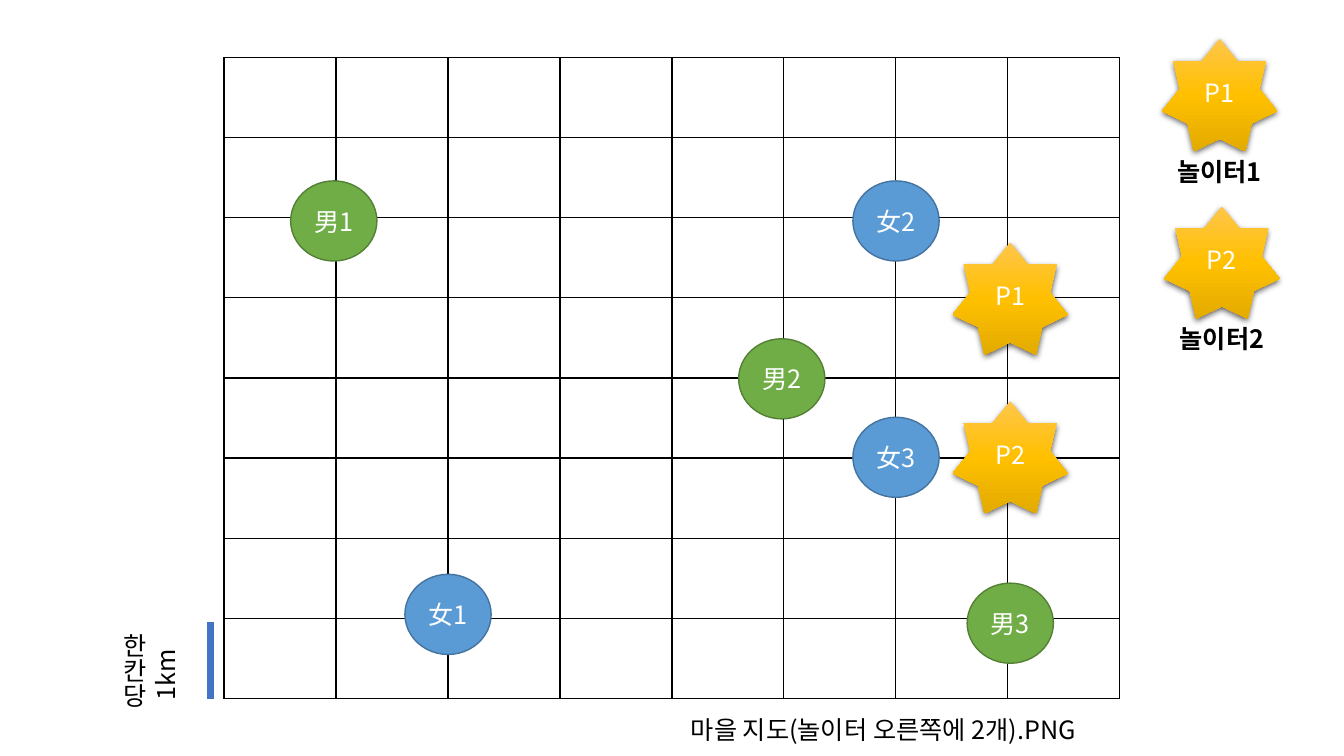
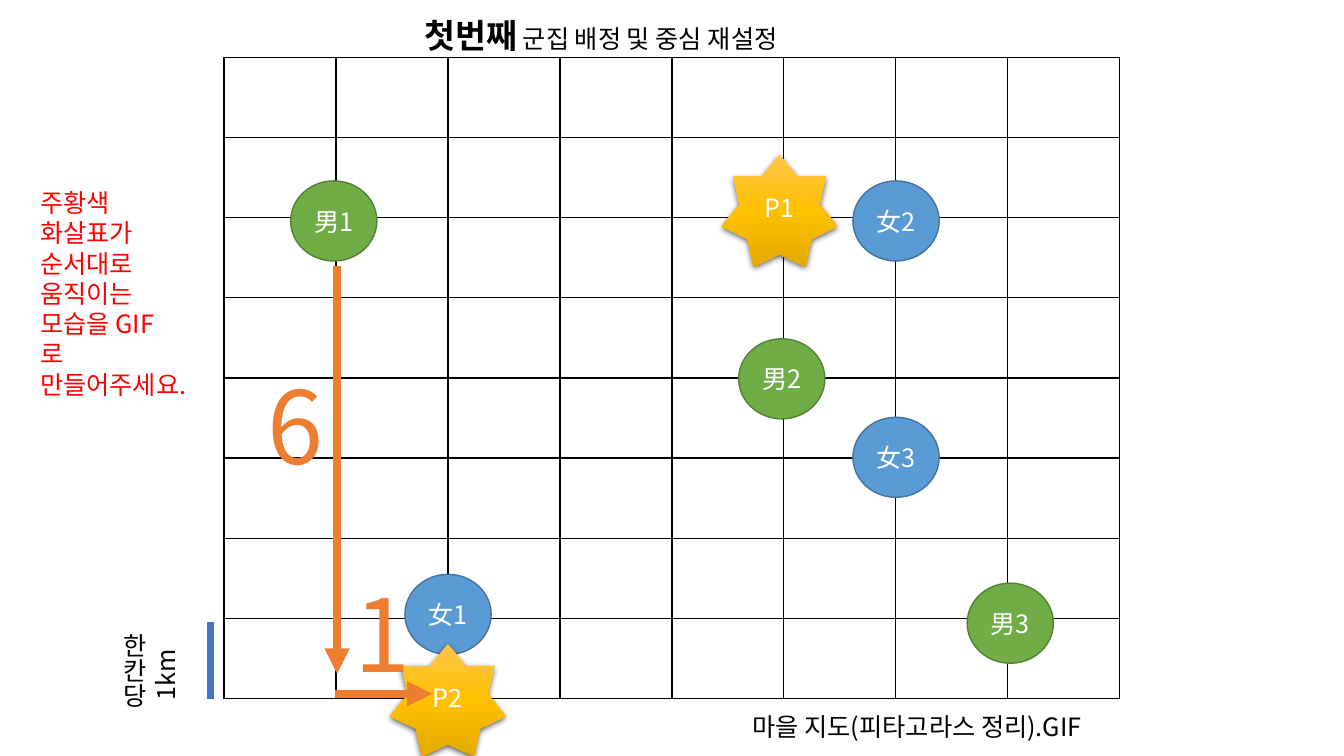
from dataclasses import dataclass
from pptx import Presentation
from pptx.dml.color import RGBColor
from pptx.enum.shapes import MSO_CONNECTOR, MSO_SHAPE
from pptx.enum.text import MSO_ANCHOR, MSO_AUTO_SIZE, PP_ALIGN
from pptx.oxml import parse_xml
from pptx.oxml.ns import nsdecls
from pptx.util import Inches, Pt


@dataclass(frozen=True)
class Theme:
    font: str = "Noto Sans CJK KR"
    body: int = 18
    heading: int = 24
    distance: int = 72
    black: str = "000000"
    white: str = "FFFFFF"
    request: str = "FF0000"
    arrow: str = "ED7D31"
    scale: str = "4472C4"
    man: tuple = ("70AD47", "538035")
    woman: tuple = ("5B9BD5", "43739E")
    star: tuple = ("FFC64B", "FFC000", "E3AB00")


theme = Theme()
A = nsdecls("a")
deck = Presentation()
deck.slide_width, deck.slide_height = Inches(13.33), Inches(7.5)

# The village map: 8 x 8 squares, all places are in columns and rows of it
SQUARES = 8
COL = deck.slide_width / 12
ROW = deck.slide_height * 0.106
MAP_LEFT, MAP_TOP = 2 * COL, deck.slide_height * 0.076


def place(col, row, width=0, height=0):
    return [round(v) for v in (MAP_LEFT + col * COL, MAP_TOP + row * ROW,
                               width * COL, height * ROW)]


def style(run, size, color, bold=False):
    run.font.size, run.font.bold = Pt(size), bold
    run.font.color.rgb = RGBColor.from_string(color)
    run.font.name = theme.font
    run.font._element.append(parse_xml(f'<a:ea {A} typeface="{theme.font}"/>'))


# Shared by both slides: homes, scale bar and its label
WOMAN = "\uf981"
homes = [("男2", theme.man, 4.98, 4.01), (WOMAN + "1", theme.woman, 2, 6.95),
         ("男3", theme.man, 7.02, 7.06), (WOMAN + "3", theme.woman, 6, 4.99),
         ("男1", theme.man, 0.98, 2.04), (WOMAN + "2", theme.woman, 6, 2.04)]
HOME, STAR = (0.77, 1), (1.03, 1.4)
scale_bar = ((-0.12, 8), (-0.12, 7.04), theme.scale, 4.5, False)

# Labels: text, box, size, colour, kind
scale_labels = [("1km", (-0.7, 6.73, 0.45, 1.42), theme.body, theme.black, "upward"),
                ("한칸당", (-1.07, 7.06, 0.45, 1.42), theme.body, theme.black, "vertical")]

maps = [
    dict(title=None,
         playgrounds=[("P1", 7.02, 3.01), ("P1", 8.89, 0.47),
                      ("P2", 8.91, 2.56), ("P2", 7.02, 4.99)],
         arrows=[],
         labels=[("놀이터1", (8.1, 1.17, 1.58, 0.5), theme.body, theme.black, "legend"),
                 ("놀이터2", (8.12, 3.26, 1.58, 0.5), theme.body, theme.black, "legend"),
                 ("마을 지도(놀이터 오른쪽에 2개).PNG", (4.08, 8.13, 3.92, 0.5),
                  theme.body, theme.black, "caption")]),
    dict(title=("첫번째", " 군집 배정 및 중심 재설정 "),
         playgrounds=[("P1", 4.96, 1.91), ("P2", 2, 8.02)],
         arrows=[((1.01, 2.6), (1.01, 7.69), theme.arrow, 6, True),
                 ((0.99, 7.94), (1.86, 7.94), theme.arrow, 6, True)],
         labels=[("주황색 화살표가 순서대로 움직이는 모습을 GIF 로 만들어주세요.",
                  (-1.73, 1.56, 1.42, 2.42), theme.body, theme.request, "note"),
                 ("1", (1.08, 6.36, 0.71, 1.65), theme.distance, theme.arrow, "note"),
                 ("6", (0.3, 3.76, 0.71, 1.65), theme.distance, theme.arrow, "note"),
                 ("마을 지도(피타고라스 정리).GIF", (4.63, 8.1, 3.37, 0.5),
                  theme.body, theme.black, "caption")]),
]

for village in maps:
    slide = deck.slides.add_slide(deck.slide_layouts[5 if village["title"] else 6])

    # Title
    if village["title"]:
        title = slide.shapes.title
        title.left, title.top, title.width, title.height = place(1.7, -0.59, 4.6, 0.63)
        heading = title.text_frame
        heading.text, topic = village["title"]
        heading.word_wrap, heading.auto_size = True, MSO_AUTO_SIZE.SHAPE_TO_FIT_TEXT
        heading.vertical_anchor = MSO_ANCHOR.TOP
        line = heading.paragraphs[0]
        line.alignment = PP_ALIGN.LEFT
        line.add_run().text = topic
        style(line.runs[0], theme.heading, theme.black, True)
        style(line.runs[1], theme.body, theme.black)

    # Map squares
    grid = slide.shapes.add_table(SQUARES, SQUARES, *place(0, 0, SQUARES, SQUARES)).table
    grid.first_row = grid.horz_banding = False
    for cell in grid.iter_cells():
        borders = cell._tc.get_or_add_tcPr()
        for side in ("lnL", "lnR", "lnT", "lnB"):
            borders.append(parse_xml(
                f'<a:{side} {A} w="{Pt(1)}"><a:solidFill><a:srgbClr val="{theme.black}"/>'
                f'</a:solidFill></a:{side}>'))
        cell.fill.background()

    # Homes and playgrounds, centred on their grid points
    markers = [(MSO_SHAPE.OVAL, HOME, *home) for home in homes]
    markers += [(MSO_SHAPE.STAR_7_POINT, STAR, name, theme.star, col, row)
                for name, col, row in village["playgrounds"]]
    for outline, (width, height), name, colors, col, row in markers:
        marker = slide.shapes.add_shape(
            outline, *place(col - width / 2, row - height / 2, width, height))
        marker.shadow.inherit = False
        if colors == theme.star:
            marker.line.fill.background()
            stops = "".join(f'<a:gs pos="{i * 50000}"><a:srgbClr val="{color}"/></a:gs>'
                            for i, color in enumerate(colors))
            properties = marker._element.spPr
            properties.prstGeom.addnext(parse_xml(
                f'<a:gradFill {A} rotWithShape="1"><a:gsLst>{stops}</a:gsLst>'
                '<a:lin ang="5400000" scaled="0"/></a:gradFill>'))
            properties.find("{*}effectLst").append(parse_xml(
                f'<a:outerShdw {A} blurRad="{Pt(4.5)}" dist="{Pt(1.5)}" dir="5400000" '
                f'algn="ctr" rotWithShape="0"><a:srgbClr val="{theme.black}">'
                '<a:alpha val="63000"/></a:srgbClr></a:outerShdw>'))
        else:
            marker.fill.solid()
            marker.fill.fore_color.rgb = RGBColor.from_string(colors[0])
            marker.line.color.rgb = RGBColor.from_string(colors[1])
            marker.line.width = Pt(1)
        marker.text_frame.text = name
        marker.text_frame.word_wrap = True
        marker.text_frame.vertical_anchor = MSO_ANCHOR.MIDDLE
        marker.text_frame.paragraphs[0].alignment = PP_ALIGN.CENTER
        style(marker.text_frame.paragraphs[0].runs[0], theme.body, theme.white)

    # Scale bar and walking arrows
    for start, end, color, weight, pointed in [scale_bar] + village["arrows"]:
        route = slide.shapes.add_connector(
            MSO_CONNECTOR.STRAIGHT, *place(*start)[:2], *place(*end)[:2])
        route.line.color.rgb = RGBColor.from_string(color)
        route.line.width = Pt(weight)
        if pointed:
            route.line._get_or_add_ln().append(parse_xml(f'<a:tailEnd {A} type="triangle"/>'))
        route._element.spPr.append(parse_xml(f'<a:effectLst {A}/>'))

    # Labels
    for text, box, size, color, kind in scale_labels + village["labels"]:
        label = slide.shapes.add_textbox(*place(*box))
        frame = label.text_frame
        frame.text = text
        frame.word_wrap = kind != "caption"
        frame.auto_size = MSO_AUTO_SIZE.SHAPE_TO_FIT_TEXT
        if kind in ("upward", "vertical"):
            frame._txBody.bodyPr.set("vert", "eaVert")
        if kind == "upward":
            label.rotation = 180
        if kind == "legend":
            frame.paragraphs[0].alignment = PP_ALIGN.CENTER
        style(frame.paragraphs[0].runs[0], size, color, kind == "legend")

deck.save("out.pptx")
